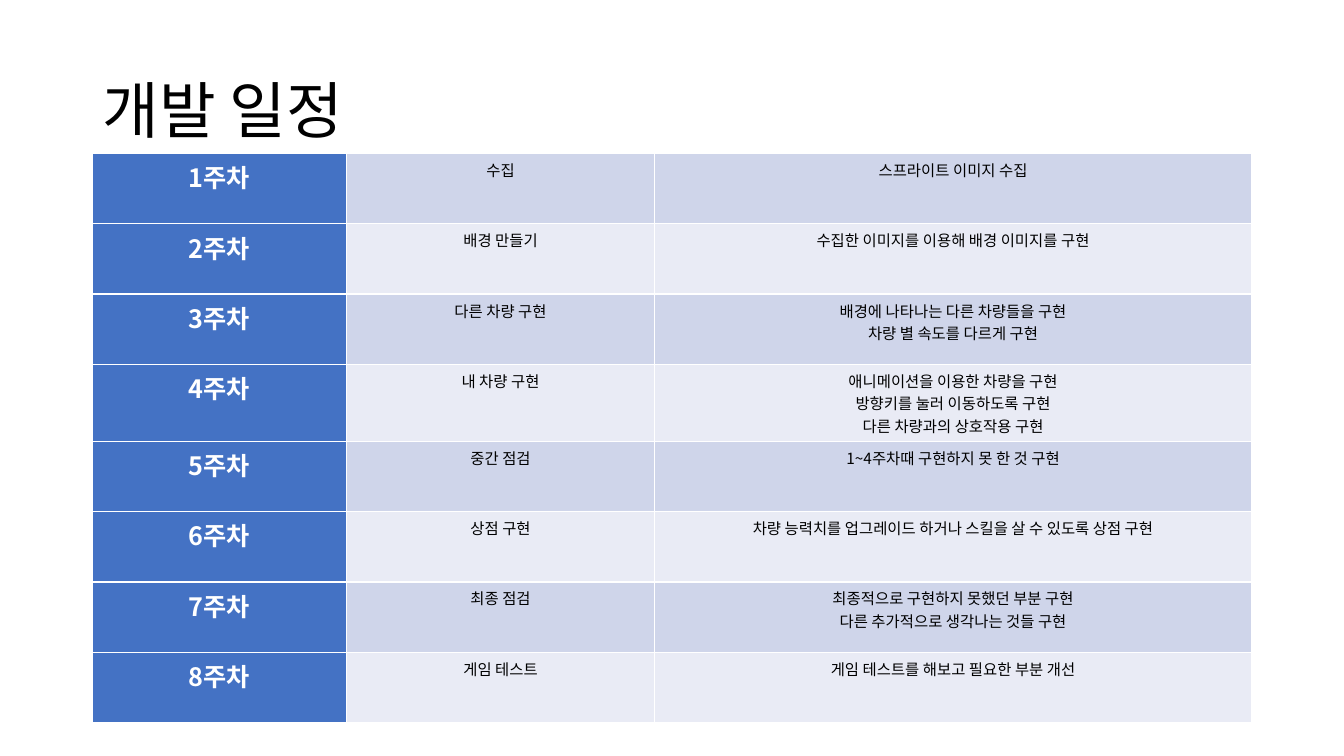
from lxml.etree import SubElement
from pptx import Presentation
from pptx.dml.color import RGBColor
from pptx.enum.text import MSO_ANCHOR, MSO_AUTO_SIZE, PP_ALIGN
from pptx.oxml.ns import qn
from pptx.util import Cm, Pt

FONT = "Noto Sans CJK KR"
BLACK = RGBColor(0x00, 0x00, 0x00)
WHITE = RGBColor(0xFF, 0xFF, 0xFF)
WEEK_BLUE = RGBColor(0x44, 0x72, 0xC4)
BANDS = (RGBColor(0xCF, 0xD5, 0xEA), RGBColor(0xE9, 0xEB, 0xF5))

COLUMN_WIDTHS = (Cm(6.4), Cm(7.77), Cm(15.04))
ROW_HEIGHT = Cm(1.77)

# Topic and detail lines of each week
SCHEDULE = [
    ("수집", ["스프라이트 이미지 수집"]),
    ("배경 만들기", ["수집한 이미지를 이용해 배경 이미지를 구현"]),
    ("다른 차량 구현", ["배경에 나타나는 다른 차량들을 구현",
                  "차량 별 속도를 다르게 구현"]),
    ("내 차량 구현", ["애니메이션을 이용한 차량을 구현",
                 "방향키를 눌러 이동하도록 구현",
                 "다른 차량과의 상호작용 구현"]),
    ("중간 점검", ["1~4주차때 구현하지 못 한 것 구현"]),
    ("상점 구현", ["차량 능력치를 업그레이드 하거나 스킬을 살 수 있도록 상점 구현"]),
    ("최종 점검", ["최종적으로 구현하지 못했던 부분 구현",
               "다른 추가적으로 생각나는 것들 구현"]),
    ("게임 테스트", ["게임 테스트를 해보고 필요한 부분 개선"]),
]


def add_run(paragraph, text, size, color, bold=False):
    run = paragraph.add_run()
    run.text = text
    run.font.size = Pt(size)
    run.font.bold = bold
    run.font.color.rgb = color
    run.font.name = FONT
    # Korean glyphs use the East Asian typeface
    SubElement(run.font._element, qn("a:ea"), typeface=FONT)


def add_borders(cell):
    properties = cell._tc.get_or_add_tcPr()
    for position, side in enumerate(("lnL", "lnR", "lnT", "lnB")):
        border = SubElement(properties, qn(f"a:{side}"), w=str(Pt(1)))
        fill = SubElement(border, qn("a:solidFill"))
        SubElement(fill, qn("a:srgbClr"), val=str(WHITE))
        properties.insert(position, border)


def fill_cell(cell, lines, fill, size=11, color=BLACK, bold=False):
    cell.fill.solid()
    cell.fill.fore_color.rgb = fill
    add_borders(cell)
    frame = cell.text_frame
    for index, line in enumerate(lines):
        paragraph = frame.add_paragraph() if index else frame.paragraphs[0]
        paragraph.alignment = PP_ALIGN.CENTER
        add_run(paragraph, line, size, color, bold)


def set_title(slide, text):
    title = slide.shapes.title
    title.left, title.top = Cm(2.33), Cm(1.01)
    title.width, title.height = Cm(29.21), Cm(3.68)
    frame = title.text_frame
    frame.auto_size = MSO_AUTO_SIZE.NONE
    frame.word_wrap = True
    frame.vertical_anchor = MSO_ANCHOR.MIDDLE
    heading = frame.paragraphs[0]
    heading.alignment = PP_ALIGN.LEFT
    heading.line_spacing = 0.9
    add_run(heading, text, 44, BLACK)


def add_schedule(slide):
    schedule = slide.shapes.add_table(
        len(SCHEDULE), len(COLUMN_WIDTHS), Cm(2.33), Cm(3.87),
        sum(COLUMN_WIDTHS), ROW_HEIGHT * len(SCHEDULE)).table
    schedule.first_row = False
    schedule.horz_banding = False
    for column, width in zip(schedule.columns, COLUMN_WIDTHS):
        column.width = width
    for index, (topic, details) in enumerate(SCHEDULE):
        schedule.rows[index].height = ROW_HEIGHT
        band = BANDS[index % 2]
        fill_cell(schedule.cell(index, 0), [f"{index + 1}주차"], WEEK_BLUE,
                  size=18, color=WHITE, bold=True)
        fill_cell(schedule.cell(index, 1), [topic], band)
        fill_cell(schedule.cell(index, 2), details, band)


def main():
    deck = Presentation()
    deck.slide_width, deck.slide_height = Cm(33.87), Cm(19.05)
    slide = deck.slides.add_slide(deck.slide_layouts[5])
    set_title(slide, "개발 일정")
    add_schedule(slide)
    deck.save("out.pptx")


if __name__ == "__main__":
    main()
